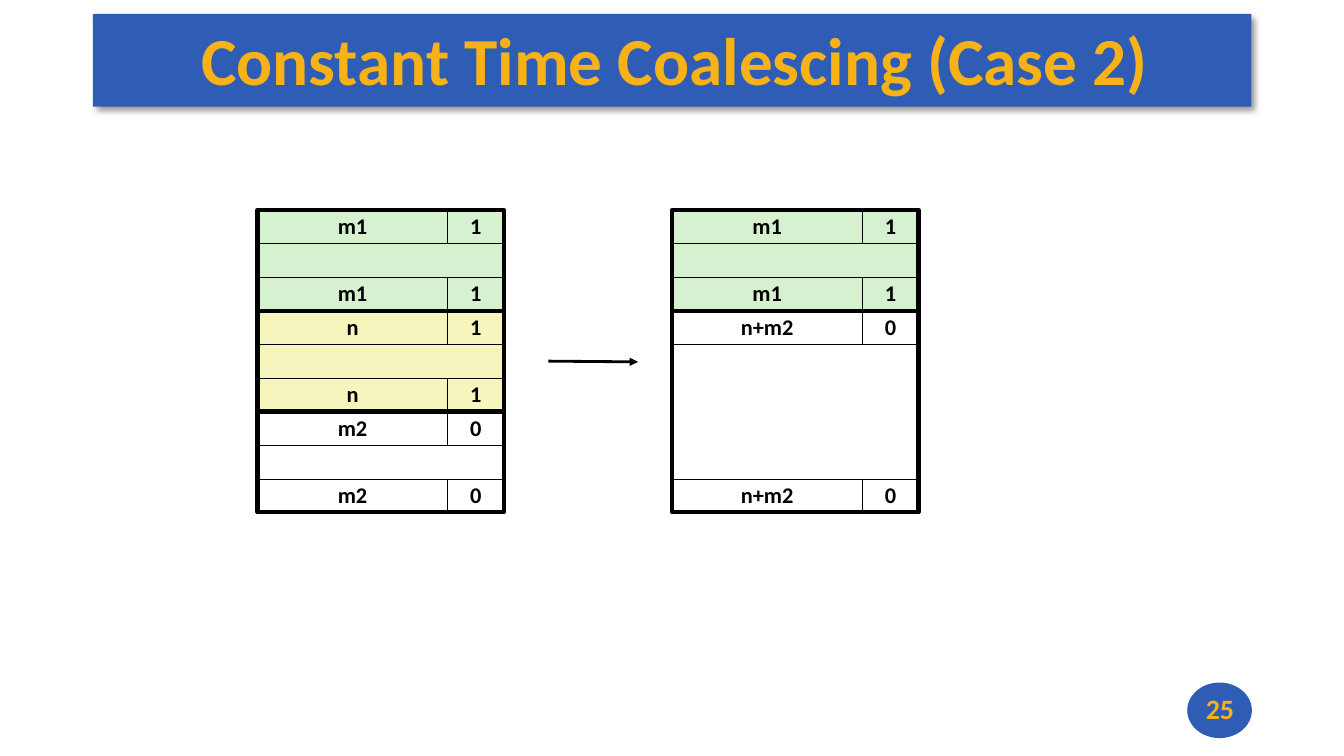
from lxml import etree
from pptx import Presentation
from pptx import util as u
from pptx.dml.color import RGBColor
from pptx.enum import shapes, text
from pptx.oxml import parse_xml
from pptx.oxml.ns import nsdecls, qn

TITLE = "Constant Time Coalescing (Case 2)"
PAGE_NUMBER = "25"
BLUE, GOLD, BLACK, WHITE = "2F5CB5", "F7B217", "000000", "FFFFFF"
GREEN, YELLOW = "D5F1CF", "F6F5BD"

HEAPS = [
    {"left": 6.49, "blocks": [("m1", "1", GREEN, 3), ("n", "1", YELLOW, 3), ("m2", "0", WHITE, 3)]},
    {"left": 16.94, "blocks": [("m1", "1", GREEN, 3), ("n+m2", "0", WHITE, 6)]},
]
HEAP_TOP, SIZE_WIDTH, FLAG_WIDTH, ROW = 5.29, 4.79, 1.42, 2.54 / 3
HEAP_WIDTH = SIZE_WIDTH + FLAG_WIDTH
ARROW = (13.82, 9.1, 16.08, 9.12)
BANNER = (2.34, 0.35, 29.2, 2.34)
TITLE_BOX = (2.29, 0.33, 29.24, 2.29)
BADGE = (29.92, 17.2, 1.63, 1.4)
NUMBER_BOX = (29.92, 17.2, 1.65, 1.32)

CELL_FORMAT = {"size": u.Pt(16), "name": "Calibri", "bold": True}
TITLE_FORMAT = {**CELL_FORMAT, "size": u.Pt(48)}
NUMBER_FORMAT = {**CELL_FORMAT, "size": u.Pt(20)}
TITLE_INSETS = {"margin_left": u.Cm(0.2), "margin_top": u.Cm(0.08),
                "margin_right": 0, "margin_bottom": u.Cm(0.08)}

presentation = Presentation()
presentation.slide_width, presentation.slide_height = u.Cm(33.87), u.Cm(19.05)
slide = presentation.slides.add_slide(presentation.slide_layouts[6])


def paint(color_format, color):
    color_format.rgb = RGBColor.from_string(color)


def write(shape, words, formats, color, wrap=True, spacing=None, insets=None):
    frame = shape.text_frame
    frame.word_wrap = wrap
    frame.vertical_anchor = text.MSO_ANCHOR.MIDDLE
    for name, value in (insets or {}).items():
        setattr(frame, name, value)
    paragraph = frame.paragraphs[0]
    paragraph.text = words
    paragraph.alignment = text.PP_ALIGN.CENTER
    paragraph.line_spacing = spacing
    for name, value in formats.items():
        setattr(paragraph.font, name, value)
    paint(paragraph.font.color, color)


def add_shape(box, fill=None, line=None, kind=shapes.MSO_SHAPE.RECTANGLE):
    shape = slide.shapes.add_shape(kind, *map(u.Cm, box))
    shape.shadow.inherit = False
    if fill:
        shape.fill.solid()
        paint(shape.fill.fore_color, fill)
    else:
        shape.fill.background()
    if line:
        shape.line.width = u.Pt(line)
        paint(shape.line.color, BLACK)
    else:
        shape.line.fill.background()
    return shape


def add_text(box, words, formats, **options):
    write(slide.shapes.add_textbox(*map(u.Cm, box)), words, formats, GOLD, **options)


def add_block(left, top, label, flag, color, rows):
    for row in (0, rows - 1):
        cell_top = top + row * ROW
        for cell_left, width, words in ((left, SIZE_WIDTH, label), (left + SIZE_WIDTH, FLAG_WIDTH, flag)):
            cell = add_shape((cell_left, cell_top, width, ROW), color, 0.25)
            write(cell, words, CELL_FORMAT, BLACK, wrap=False, spacing=0.98)
    add_shape((left, top + ROW, HEAP_WIDTH, (rows - 2) * ROW), color, 0.25)
    add_shape((left, top, HEAP_WIDTH, rows * ROW), line=3)


banner = add_shape(BANNER, BLUE)
banner_effects = banner._element.spPr.find(qn("a:effectLst"))
banner_effects.append(parse_xml(
    f'<a:outerShdw {nsdecls("a")} blurRad="50800" dist="38100" dir="2700000" algn="tl" rotWithShape="0">'
    f'<a:srgbClr val="{BLACK}"><a:alpha val="40000"/></a:srgbClr></a:outerShdw>'))
add_shape(BADGE, BLUE, kind=shapes.MSO_SHAPE.OVAL)
add_text(TITLE_BOX, TITLE, TITLE_FORMAT, insets=TITLE_INSETS)

for heap in HEAPS:
    block_top = HEAP_TOP
    for label, flag, color, rows in heap["blocks"]:
        add_block(heap["left"], block_top, label, flag, color, rows)
        block_top += rows * ROW

arrow = slide.shapes.add_connector(shapes.MSO_CONNECTOR.STRAIGHT, *map(u.Cm, ARROW))
arrow.line.width = u.Pt(2)
paint(arrow.line.color, BLACK)
etree.SubElement(arrow.line._get_or_add_ln(), qn("a:tailEnd"), type="triangle")
etree.SubElement(arrow._element.spPr, qn("a:effectLst"))

add_text(NUMBER_BOX, PAGE_NUMBER, NUMBER_FORMAT)
presentation.save("out.pptx")
